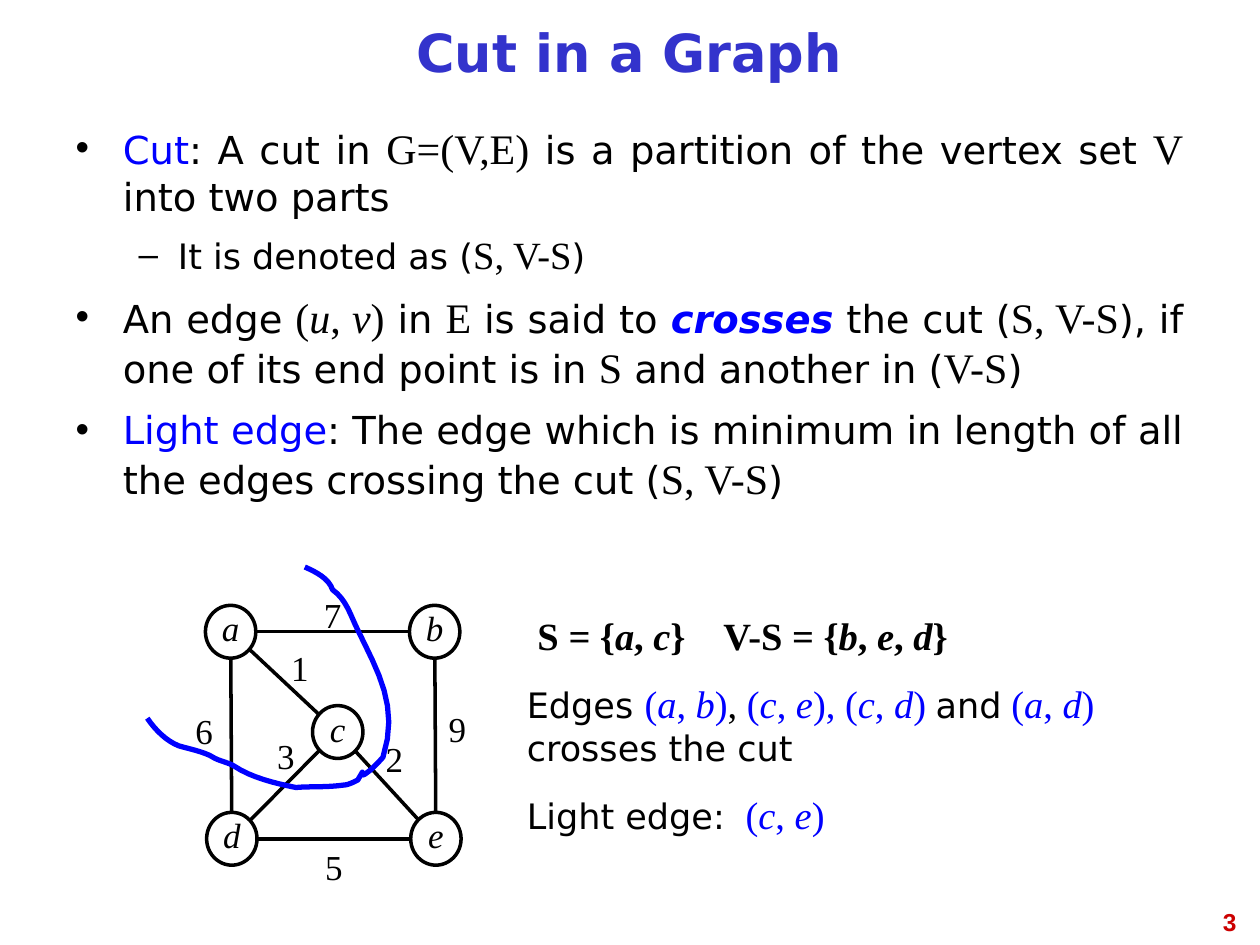
import math
from pptx import Presentation
from pptx.dml.color import RGBColor
from pptx.enum.shapes import MSO_CONNECTOR, MSO_SHAPE
from pptx.enum.text import MSO_ANCHOR, MSO_AUTO_SIZE, PP_ALIGN
from pptx.oxml.ns import qn
from pptx.util import Pt
from lxml import etree

CENTER, RIGHT, JUSTIFY = PP_ALIGN.CENTER, PP_ALIGN.RIGHT, PP_ALIGN.JUSTIFY
MIDDLE, TOP = MSO_ANCHOR.MIDDLE, MSO_ANCHOR.TOP
OVAL, STRAIGHT = MSO_SHAPE.OVAL, MSO_CONNECTOR.STRAIGHT

THEME = {
    "sans": "DejaVu Sans", "serif": "Times New Roman", "number_font": "Arial",
    "black": RGBColor(0, 0, 0), "blue": RGBColor(0, 0, 255),
    "title": RGBColor(0x33, 0x33, 0xCC), "number": RGBColor(0xCC, 0, 0),
    "title_size": 30, "body_size": 22, "small_size": 20, "number_size": 14,
    "serif_step": 2,
}


def write(paragraph, pieces, size):
    """Add (text, flags) pieces; flags: s serif, i italic, b bold, c blue.

    Serif pieces are one step larger than the sans text of the given size.
    """
    for text, flags in pieces:
        run = paragraph.add_run()
        run.text = text
        font = paragraph.font if len(pieces) == 1 else run.font
        serif = "s" in flags
        font.name = THEME["serif" if serif else "sans"]
        font.size = Pt(size + THEME["serif_step"] * serif)
        font.italic = "i" in flags
        font.bold = "b" in flags
        font.color.rgb = THEME["blue" if "c" in flags else "black"]


def add_box(left, top, width, height, wrap=True, anchor=MIDDLE):
    frame = slide.shapes.add_textbox(Pt(left), Pt(top), Pt(width), Pt(height)).text_frame
    frame.word_wrap = wrap
    frame.vertical_anchor = anchor
    return frame


prs = Presentation()
prs.slide_width, prs.slide_height = Pt(720), Pt(540)
slide = prs.slides.add_slide(prs.slide_layouts[1])

# Slide number
number = add_box(545.8, 514.8, 167.8, 37.4, anchor=TOP).paragraphs[0]
number.text = "3"
number.alignment = RIGHT
number.font.name, number.font.size = THEME["number_font"], Pt(THEME["number_size"])
number.font.bold, number.font.color.rgb = True, THEME["number"]

# Title
title = slide.shapes.title
title.left, title.top, title.width, title.height = Pt(36), Pt(5.8), Pt(647.3), Pt(54)
title.text_frame.auto_size = MSO_AUTO_SIZE.NONE
title.text_frame.vertical_anchor = MIDDLE
heading = title.text_frame.paragraphs[0]
heading.text = "Cut in a Graph"
heading.alignment, heading.line_spacing = CENTER, 0.81
heading.font.name, heading.font.size = THEME["sans"], Pt(THEME["title_size"])
heading.font.bold, heading.font.color.rgb = True, THEME["title"]

# Definitions
definitions = [
    (0, [("Cut", "c"), (": A cut in ", ""), ("G=(V,E)", "s"),
         (" is a partition of the vertex set ", ""), ("V", "s"), (" into two parts", "")]),
    (1, [("It is denoted as (", ""), ("S, V-S", "s"), (")", "")]),
    (0, [("An edge ", ""), ("(", "s"), ("u", "si"), (", ", "s"), ("v", "si"), (")", "s"),
         (" in ", ""), ("E", "s"), (" is said to ", ""), ("crosses", "cbi"),
         (" the cut (", ""), ("S, V-S", "s"), ("), if one of its end point is in ", ""),
         ("S", "s"), (" and another in (", ""), ("V-S", "s"), (")", "")]),
    (0, [("Light edge", "c"),
         (": The edge which is minimum in length of all the edges crossing the cut (", ""),
         ("S, V-S", "s"), (")", "")]),
]
# Per level: bullet, left margin, hanging indent, space before, type size
levels = [("•", 27, -27, 8, THEME["body_size"]), ("–", 58.5, -22.5, 7, THEME["small_size"])]
body = slide.placeholders[1]
body.left, body.top, body.width, body.height = Pt(36), Pt(66.2), Pt(647.3), Pt(419.8)
body.text_frame.auto_size = MSO_AUTO_SIZE.NONE
for i, (level, pieces) in enumerate(definitions):
    bullet, margin, indent, space, size = levels[level]
    paragraph = body.text_frame.add_paragraph() if i else body.text_frame.paragraphs[0]
    paragraph.level, paragraph.alignment = level, JUSTIFY
    paragraph.space_before = Pt(space if i else 0)
    props = paragraph._p.get_or_add_pPr()
    props.set("marL", str(Pt(margin)))
    props.set("indent", str(Pt(indent)))
    bullet_color = etree.SubElement(props, qn("a:buClr"))
    etree.SubElement(bullet_color, qn("a:srgbClr"), val=str(THEME["black"]))
    etree.SubElement(props, qn("a:buFont"), typeface=THEME["number_font"])
    etree.SubElement(props, qn("a:buChar"), char=bullet)
    write(paragraph, pieces, size)

# Graph: node centres, then edges with weight and centre of the weight label
NODE_W, NODE_H = 28.8, 30.2
LABEL_SIZE = THEME["small_size"] - THEME["serif_step"]
nodes = {"a": (131.8, 361), "b": (248.4, 361), "c": (193, 418.3),
         "d": (132.5, 479.3), "e": (249.1, 479.3)}
edges = [("a", "b", "7", 190.1, 351.4), ("d", "e", "5", 190.8, 495.4),
         ("a", "d", "6", 116.6, 417.6), ("b", "e", "9", 261.4, 416.2),
         ("a", "c", "1", 171.4, 381.6), ("c", "e", "2", 225.4, 433.4),
         ("c", "d", "3", 163.4, 432)]

for name, (x, y) in nodes.items():
    node = slide.shapes.add_shape(OVAL, Pt(x - NODE_W / 2), Pt(y - NODE_H / 2),
                                  Pt(NODE_W), Pt(NODE_H))
    node.shadow.inherit = False
    node.fill.background()
    node.line.color.rgb, node.line.width = THEME["black"], Pt(2)
    node.text_frame.word_wrap = False
    label = node.text_frame.paragraphs[0]
    label.alignment, label.line_spacing = CENTER, 0.81
    write(label, [(name, "si")], LABEL_SIZE)

for start, end, weight, label_x, label_y in edges:
    (x1, y1), (x2, y2) = nodes[start], nodes[end]
    trim = NODE_H / 2 / math.dist(nodes[start], nodes[end])
    dx, dy = (x2 - x1) * trim, (y2 - y1) * trim
    edge = slide.shapes.add_connector(STRAIGHT, Pt(x1 + dx), Pt(y1 + dy),
                                      Pt(x2 - dx), Pt(y2 - dy))
    edge.line.color.rgb, edge.line.width = THEME["black"], Pt(2)
    etree.SubElement(edge._element.spPr, qn("a:effectLst"))
    label = add_box(label_x - NODE_W / 2, label_y - NODE_H / 2, NODE_W, NODE_H,
                    wrap=False).paragraphs[0]
    label.alignment = CENTER
    write(label, [(weight, "s")], LABEL_SIZE)

# Cut line: Bézier segments (two controls and an end), drawn in short steps
STEPS = 8
cut_start = (84.2, 410.4)
cut_segments = [
    ((88.6, 416.9), (95, 423.4), (102.2, 426.2)),
    ((107.3, 427.7), (117.4, 429.8), (121.7, 432.7)),
    ((125.3, 434.9), (130.3, 435.6), (133.9, 437.8)),
    ((143.3, 444.2), (157.7, 447.8), (169.2, 450)),
    ((177.8, 449.3), (187.2, 450), (196.6, 448.6)),
    ((199.4, 448.6), (204.5, 445.7), (204.5, 445.7)),
    ((211, 434.9), (202.3, 447.8), (211, 440.6)),
    ((213.8, 438.5), (218.9, 432.7), (218.9, 432.7)),
    ((228.2, 403.9), (216, 383.8), (204.5, 360)),
    ((200.2, 351.4), (198, 342.7), (190.1, 337)),
    ((187.9, 330.5), (180.7, 326.9), (174.2, 324)),
]
cut_points = []
here = cut_start
for first, second, end in cut_segments:
    for step in range(1, STEPS + 1):
        t = step / STEPS
        cut_points.append(tuple(
            Pt((1 - t) ** 3 * p + 3 * (1 - t) ** 2 * t * q + 3 * (1 - t) * t ** 2 * r + t ** 3 * s)
            for p, q, r, s in zip(here, first, second, end)))
    here = end
builder = slide.shapes.build_freeform(Pt(cut_start[0]), Pt(cut_start[1]))
builder.add_line_segments(cut_points, close=False)
cut = builder.convert_to_shape()
cut.shadow.inherit = False
cut.fill.background()
cut.line.color.rgb, cut.line.width = THEME["blue"], Pt(3)

# Results: box, tab stop, type size, paragraphs
results = [
    ((300, 348, 293.8, 30.2), 106.3, THEME["small_size"],
     [[("S ", "sb"), ("= ", "sbi"), ("{", "sb"), ("a", "sbi"), (", ", "sb"), ("c", "sbi"),
       ("}\tV-S = {", "sb"), ("b", "sbi"), (", ", "sb"), ("e", "sbi"), (", ", "sb"),
       ("d", "sbi"), ("}", "sb")]]),
    ((294, 390, 347.8, 48.2), None, THEME["small_size"],
     [[("Edges ", ""), ("(", "sc"), ("a", "sci"), (", ", "sc"), ("b", "sci"), (")", "sc"),
       (", ", "s"), ("(", "sc"), ("c", "sci"), (", ", "sc"), ("e", "sci"), ("), (", "sc"),
       ("c", "sci"), (", ", "sc"), ("d", "sci"), (") ", "sc"), ("and", ""), (" ", "s"),
       ("(", "sc"), ("a", "sci"), (", ", "sc"), ("d", "sci"), (")", "sc")],
      [("crosses the cut", "")]]),
    ((294, 450, 347.8, 30.2), 125, THEME["small_size"],
     [[("Light edge:\t", ""), ("(", "sc"), ("c", "sci"), (", ", "sc"), ("e", "sci"),
       (")", "sc")]]),
]
for place, tab, size, lines in results:
    frame = add_box(*place)
    for i, pieces in enumerate(lines):
        paragraph = frame.add_paragraph() if i else frame.paragraphs[0]
        if tab:
            tabs = etree.SubElement(paragraph._p.get_or_add_pPr(), qn("a:tabLst"))
            etree.SubElement(tabs, qn("a:tab"), pos=str(Pt(tab)), algn="l")
        write(paragraph, pieces, size)

prs.save("out.pptx")
